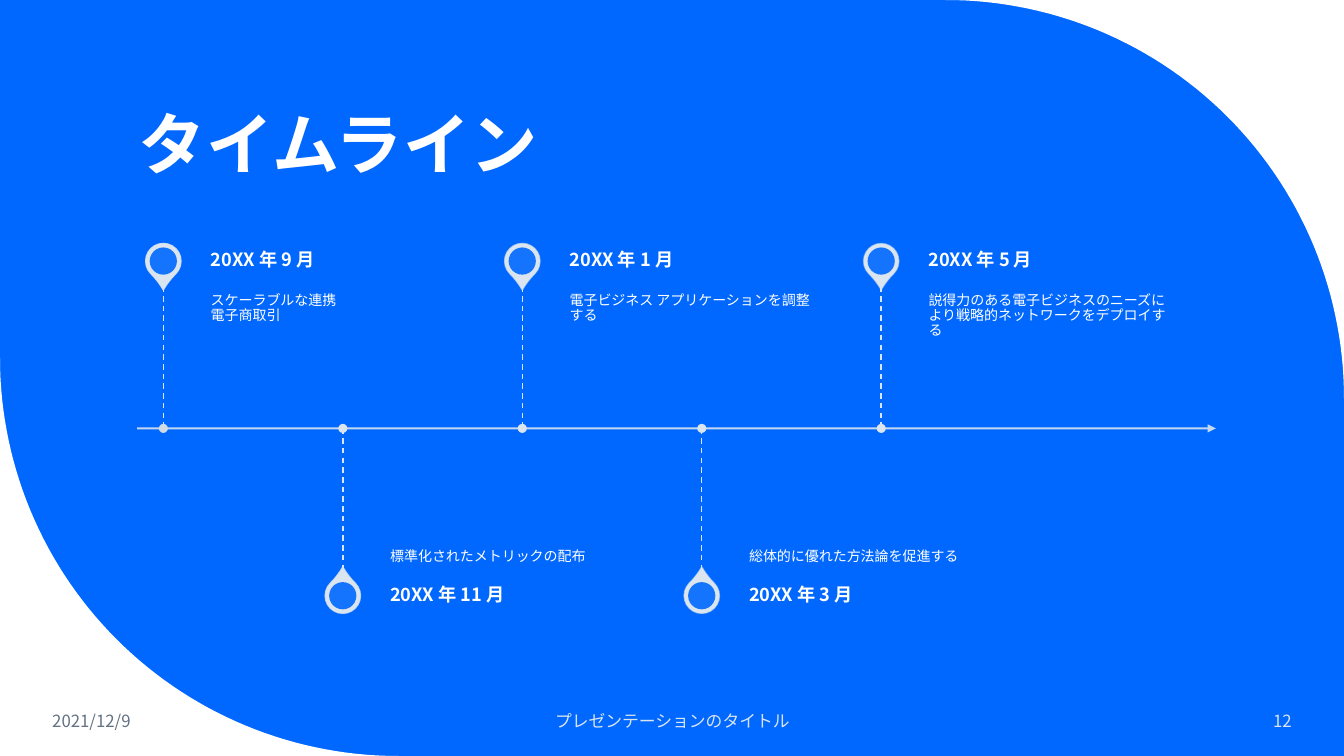
"""Builds the timeline slide with alternating milestone pins along one arrow."""
import math

from pptx import Presentation
from pptx import util as u
from pptx.dml.color import RGBColor
from pptx.enum import dml, shapes, text
from pptx.oxml.ns import qn
from lxml import etree

FONT = "Noto Sans CJK JP"
BLUE, WHITE, PALE, GREY = "0068FF", "FFFFFF", "DAE5EF", "637183"
WIDTH, HEIGHT = 13.33, 7.5
TITLE = "タイムライン"
MILESTONES = [
    ("20XX 年 9 月", "スケーラブルな連携\n電子商取引", 90, "D0DBE4"),
    ("20XX 年 11 月", "標準化されたメトリックの配布", 80, PALE),
    ("20XX 年 1 月", "電子ビジネス アプリケーションを調整する", 70, PALE),
    ("20XX 年 3 月", "総体的に優れた方法論を促進する", 60, PALE),
    ("20XX 年 5 月", "説得力のある電子ビジネスのニーズにより戦略的ネットワークをデプロイする", 50, PALE),
]
FOOTER = [
    ("2021/12/9", 0.42, 1.86, text.PP_ALIGN.LEFT, GREY),
    ("プレゼンテーションのタイトル", 4.42, 4.5, text.PP_ALIGN.CENTER, PALE),
    ("12", 11.1, 1.81, text.PP_ALIGN.RIGHT, PALE),
]
RADIUS = 3.95
CORNERS = [(WIDTH, 0, 1, -1), (0, HEIGHT, -1, 1)]
ARC_STEPS = 60
AXIS, FIRST, STEP = 4.25, 1.62, 1.78
STEM, PIN_OFFSET, TEXT_GAP = 1.41, 1.66, 0.47
PIN, HOLE, DOT = 0.35, 0.27, 0.09
TOP, MIDDLE, BOTTOM = (text.MSO_ANCHOR.TOP, text.MSO_ANCHOR.MIDDLE,
                       text.MSO_ANCHOR.BOTTOM)


def paint(fmt, colour, opacity=100):
    fmt.solid()
    fmt.fore_color.rgb = RGBColor.from_string(colour)
    if opacity < 100:
        tint = fmt._xPr.find(qn("a:solidFill"))[0]
        etree.SubElement(tint, qn("a:alpha"), val=str(opacity * 1000))


def add_label(slide, words, box, size, colour, bold=False, anchor=MIDDLE,
              insets=(0.1, 0.05, 0.1, 0.05), align=text.PP_ALIGN.LEFT, spacing=None):
    frame = slide.shapes.add_textbox(*map(u.Inches, box)).text_frame
    frame.word_wrap = True
    frame.vertical_anchor = anchor
    (frame.margin_left, frame.margin_top,
     frame.margin_right, frame.margin_bottom) = map(u.Inches, insets)
    paragraph = frame.paragraphs[0]
    paragraph.alignment = align
    if spacing:
        paragraph.line_spacing = spacing
    for number, line in enumerate(words.split("\n")):
        if number:
            paragraph.add_line_break()
        run = paragraph.add_run()
        run.text = line
        run.font.size, run.font.bold, run.font.name = u.Pt(size), bold, FONT
        paint(run.font.fill, colour)
        latin = run.font._element.find(qn("a:latin"))
        latin.addnext(latin.makeelement(qn("a:ea"), {"typeface": FONT}))


def add_round(slide, preset, x, y, size, colour, opacity=100):
    disc = slide.shapes.add_shape(
        preset, *map(u.Inches, (x - size / 2, y - size / 2, size, size)))
    disc.shadow.inherit = False
    paint(disc.fill, colour, opacity)
    disc.line.fill.background()
    return disc


def add_rule(slide, start, end, weight, opacity=100):
    rule = slide.shapes.add_connector(
        shapes.MSO_CONNECTOR.STRAIGHT, *map(u.Inches, start + end))
    rule.line.width = u.Pt(weight)
    paint(rule.line.fill, PALE, opacity)
    etree.SubElement(rule._element.spPr, qn("a:effectLst"))
    return rule


def add_corner(slide, x, y, right, down):
    centre_x, centre_y = x - right * RADIUS, y - down * RADIUS
    angles = [math.pi / 2 * i / ARC_STEPS for i in range(ARC_STEPS + 1)]
    arc = [(u.Inches(centre_x + right * RADIUS * math.sin(a)),
            u.Inches(centre_y + down * RADIUS * math.cos(a))) for a in angles]
    builder = slide.shapes.build_freeform(u.Inches(x), u.Inches(y))
    builder.add_line_segments(arc, close=True)
    corner = builder.convert_to_shape()
    corner.shadow.inherit = False
    paint(corner.fill, WHITE)
    corner.line.fill.background()


def add_milestone(slide, index, month, detail, opacity, dot_colour):
    above = index % 2 == 0
    side = -1 if above else 1
    x, pin_y = FIRST + STEP * index, AXIS + side * PIN_OFFSET
    pin = add_round(slide, shapes.MSO_SHAPE.TEAR, x, pin_y, PIN, PALE)
    pin.adjustments[0] = 1.15
    pin.rotation = 135 if above else 315
    pin.line.width = u.Pt(1)
    paint(pin.line.fill, PALE, opacity)
    add_round(slide, shapes.MSO_SHAPE.OVAL, x, pin_y, HOLE, BLUE, 90)

    left = x + TEXT_GAP
    add_label(slide, detail, (left, AXIS - STEM if above else AXIS, 2.53, STEM),
              10, WHITE, anchor=TOP if above else BOTTOM, spacing=0.9,
              insets=(0, 0.07, 0.07, 0.1) if above else (0, 0.1, 0, 0.07))
    add_label(slide, month, (left, pin_y - 0.25, 2.53, 0.5), 13, WHITE, bold=True,
              insets=(0, 0, 0.09, 0), spacing=0.9)
    stem = add_rule(slide, (x, AXIS + min(side, 0) * STEM),
                    (x, AXIS + max(side, 0) * STEM), 1)
    stem.line.dash_style = dml.MSO_LINE.DASH
    add_round(slide, shapes.MSO_SHAPE.OVAL, x, AXIS, DOT, dot_colour)


def main():
    deck = Presentation()
    deck.slide_width, deck.slide_height = u.Inches(WIDTH), u.Inches(HEIGHT)
    slide = deck.slides.add_slide(deck.slide_layouts[6])
    paint(slide.background.fill, BLUE)
    for corner in CORNERS:
        add_corner(slide, *corner)
    add_label(slide, TITLE, (1.28, 0.42, 10.69, 1.45), 48, WHITE, bold=True,
              anchor=BOTTOM, spacing=0.9)
    axis = add_rule(slide, (1.36, AXIS), (12.06, AXIS), 1.5, 90)
    etree.SubElement(axis.line._get_or_add_ln(), qn("a:tailEnd"), type="triangle")
    for index, milestone in enumerate(MILESTONES):
        add_milestone(slide, index, *milestone)
    for words, left, width, align, colour in FOOTER:
        add_label(slide, words, (left, 6.95, width, 0.4), 12, colour, align=align)
    deck.save("out.pptx")


if __name__ == "__main__":
    main()
